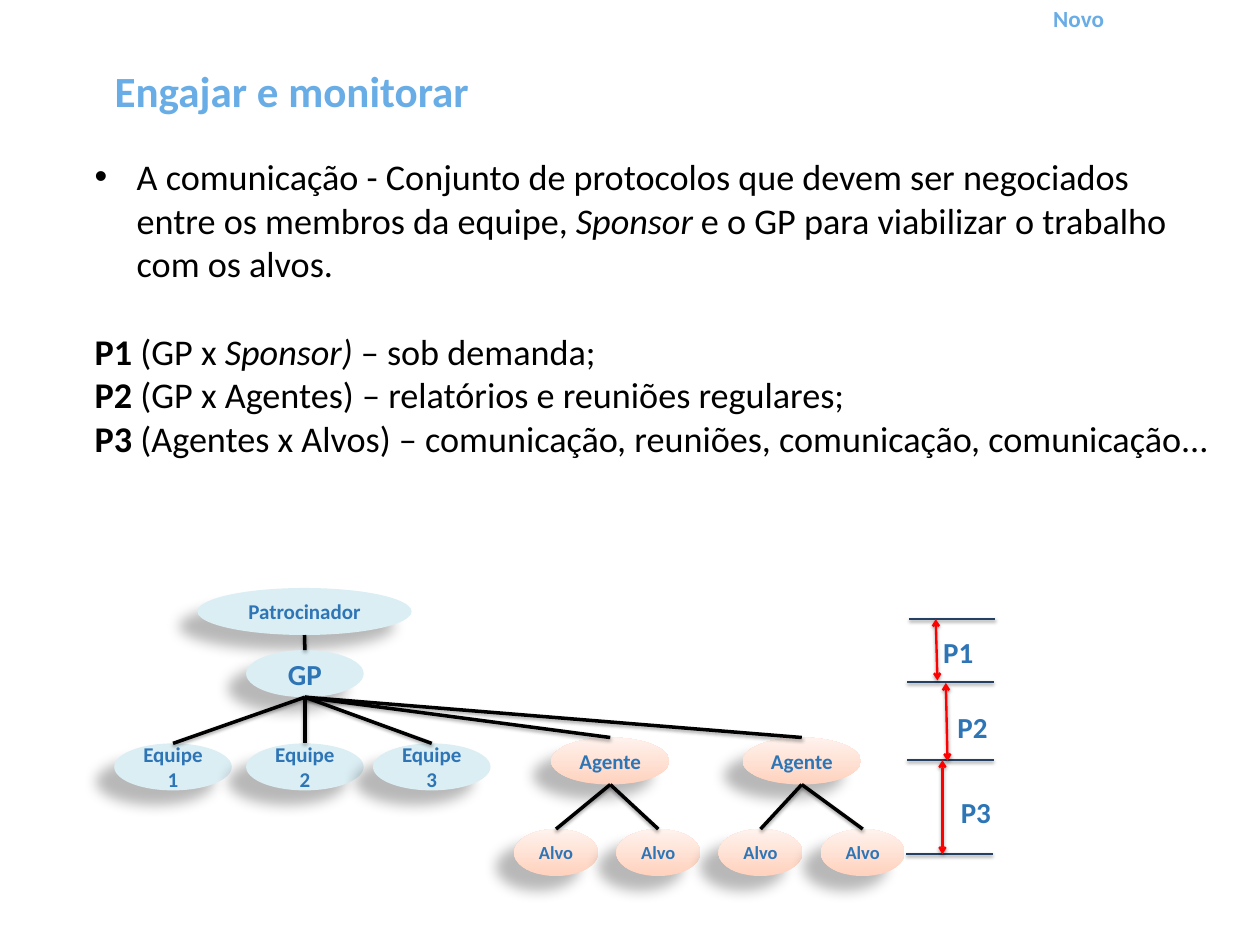
from pptx import Presentation
from pptx.dml.color import RGBColor
from pptx.enum.shapes import MSO_CONNECTOR, MSO_SHAPE
from pptx.enum.text import MSO_ANCHOR, PP_ALIGN
from pptx.oxml import parse_xml
from pptx.oxml.ns import nsdecls, qn
from pptx.util import Inches, Pt

FONT = "Calibri"
BLACK = RGBColor(0x00, 0x00, 0x00)
BLUE = RGBColor(0x2E, 0x75, 0xB6)
SKY = RGBColor(0x69, 0xAD, 0xE7)
NAVY = RGBColor(0x25, 0x40, 0x61)
RED = RGBColor(0xFF, 0x00, 0x00)
ICE = RGBColor(0xDB, 0xEE, 0xF4)
PEACH = RGBColor(0xFF, 0xD2, 0xBD)
CREAM = RGBColor(0xFF, 0xF2, 0xED)

# Shadow: opacity in %, blur and distance in points, angle in degrees
DEEP = (28, 11.8, 19.7, 141)
SOFT = (35, 3.1, 1.8, 90)
THIN = (38, 3.1, 1.6, 90)

NODE_H = 0.56

# Runs of the body: text and style (b = bold, i = italic)
INTRO = [
    ("A comunicação - Conjunto de protocolos que devem ser negociados "
     "entre os membros da equipe, ", ""),
    ("Sponsor", "i"),
    (" e o GP para viabilizar o trabalho com os alvos.", ""),
]
RULES = [
    [("P1", "b"), (" (GP x ", ""), ("Sponsor)", "i"), (" – sob demanda;", "")],
    [("P2", "b"), (" (GP x Agentes) – relatórios e reuniões regulares;", "")],
    [("P3", "b"), (" (Agentes x Alvos) – comunicação, reuniões, "
                   "comunicação, comunicação...", "")],
]


def add_run(para, text, size, color, style=""):
    run = para.add_run()
    run.text = text
    font = run.font
    font.name, font.size = FONT, Pt(size)
    font.color.rgb = color
    font.bold, font.italic = "b" in style, "i" in style


def add_box(slide, left, top, width, height, wrap=True):
    box = slide.shapes.add_textbox(
        Inches(left), Inches(top), Inches(width), Inches(height))
    box.text_frame.word_wrap = wrap
    return box.text_frame


def add_label(slide, text, place, size, color, wrap=True, align=PP_ALIGN.LEFT):
    para = add_box(slide, *place, wrap).paragraphs[0]
    para.alignment = align
    add_run(para, text, size, color, "b")


def add_bullet(para, indent):
    props = para._p.get_or_add_pPr()
    props.set("marL", str(indent))
    props.set("indent", str(-indent))
    props.append(parse_xml(f'<a:buFont {nsdecls("a")} typeface="Arial"/>'))
    props.append(parse_xml(f'<a:buChar {nsdecls("a")} char="•"/>'))


def add_body(slide):
    frame = add_box(slide, 1.03, 1.79, 13.5, 4.27)
    para = frame.paragraphs[0]
    add_bullet(para, Inches(0.5))
    for text, style in INTRO:
        add_run(para, text, 31, BLACK, style)
    for index, runs in enumerate(RULES):
        para = frame.add_paragraph()
        if index == 0:
            para.space_before = Pt(38)
        for text, style in runs:
            add_run(para, text, 31, BLACK, style)


def cast(shape, shade):
    """Give the shape an outer shadow; call after fill and line are set."""
    alpha, blur, dist, angle = shade
    shape._element.spPr.append(parse_xml(
        f'<a:effectLst {nsdecls("a")}><a:outerShdw blurRad="{Pt(blur)}" '
        f'dist="{Pt(dist)}" dir="{angle * 60000}" algn="ctr" rotWithShape="0">'
        f'<a:srgbClr val="000000"><a:alpha val="{alpha * 1000}"/></a:srgbClr>'
        '</a:outerShdw></a:effectLst>'))


def add_node(slide, text, left, top, width, size=18, warm=False):
    node = slide.shapes.add_shape(
        MSO_SHAPE.OVAL, Inches(left), Inches(top), Inches(width), Inches(NODE_H))
    if warm:
        node.fill.gradient()
        node.fill.gradient_angle = 90
        for stop, color in zip(node.fill.gradient_stops, (PEACH, CREAM)):
            stop.color.rgb = color
    else:
        node.fill.solid()
        node.fill.fore_color.rgb = ICE
    node.line.fill.background()
    cast(node, DEEP)
    frame = node.text_frame
    frame.word_wrap = True
    frame.vertical_anchor = MSO_ANCHOR.MIDDLE
    para = frame.paragraphs[0]
    para.alignment = PP_ALIGN.CENTER
    add_run(para, text, size, BLUE, "b")
    return node


def add_line(slide, ends, color, width, shade, arrows=False):
    line = slide.shapes.add_connector(MSO_CONNECTOR.STRAIGHT, *ends)
    line.line.color.rgb = color
    line.line.width = Pt(width)
    if arrows:
        stroke = line._element.spPr.find(qn("a:ln"))
        for tag in ("headEnd", "tailEnd"):
            stroke.append(parse_xml(f'<a:{tag} {nsdecls("a")} type="arrow"/>'))
    cast(line, shade)


def link(slide, upper, lower):
    """Join the foot of one node to the top of another."""
    ends = (upper.left + upper.width // 2, upper.top + upper.height,
            lower.left + lower.width // 2, lower.top)
    add_line(slide, ends, BLACK, 3, SOFT)


def add_tree(slide):
    sponsor = add_node(slide, "Patrocinador", 2.35, 7, 2.55)
    lead = add_node(slide, "GP", 2.93, 7.74, 1.4, 24.9)
    teams = [add_node(slide, f"Equipe {num}", left, 8.85, 1.4)
             for num, left in enumerate((1.36, 2.93, 4.44), 1)]
    agents = [add_node(slide, "Agente", left, 8.78, 1.41, warm=True)
              for left in (6.56, 8.84)]
    targets = [add_node(slide, "Alvo", 6.12 + 1.217 * num, 9.87, 1, 15.8, True)
               for num in range(4)]
    for num, target in enumerate(targets):
        link(slide, agents[num // 2], target)
    link(slide, sponsor, lead)
    for child in teams + agents:
        link(slide, lead, child)


def add_scale(slide):
    for left, top in ((10.82, 7.37), (10.8, 8.12), (10.8, 9.05), (10.79, 10.17)):
        ends = [Inches(v) for v in (left, top, left + 1.03, top)]
        add_line(slide, ends, NAVY, 2, THIN)
    for span in ((11.14, 7.37, 11.16, 8.1), (11.26, 8.13, 11.28, 9.06),
                 (11.22, 9.05, 11.22, 10.17)):
        add_line(slide, [Inches(v) for v in span], RED, 2, THIN, True)
    for num, (left, top) in enumerate(((11.13, 7.5), (11.3, 8.4), (11.34, 9.41)), 1):
        add_label(slide, f"P{num}", (left, top, 0.64, 0.52), 24.9, BLUE, False)


def main():
    deck = Presentation()
    deck.slide_width, deck.slide_height = Inches(15), Inches(11.25)
    slide = deck.slides.add_slide(deck.slide_layouts[6])
    add_body(slide)
    add_tree(slide)
    add_scale(slide)
    add_label(slide, "Engajar e monitorar", (0, 0.72, 6.95, 0.59), 36.9, SKY,
              align=PP_ALIGN.CENTER)
    add_label(slide, "Novo", (12.44, 0, 1.81, 0.38), 19.8, SKY)
    deck.save("out.pptx")


if __name__ == "__main__":
    main()
